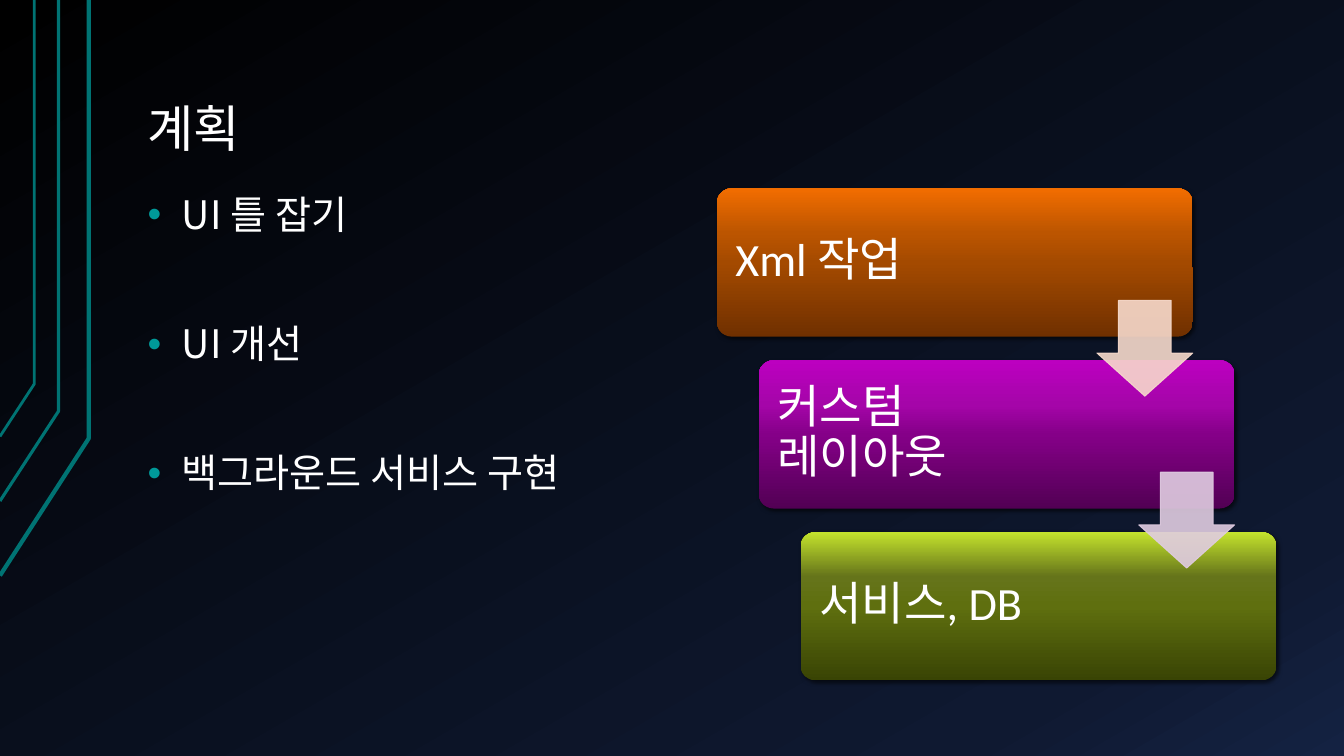
from dataclasses import dataclass

from lxml import etree
from pptx import Presentation
from pptx import util as u
from pptx.dml.color import RGBColor
from pptx.enum import shapes, text
from pptx.oxml import parse_xml
from pptx.oxml.ns import nsdecls, qn

Stops = tuple[tuple[int, str], ...]


@dataclass(frozen=True)
class Theme:
    """Colours, fonts and type sizes of the slide."""
    ink: str = "FFFFFF"
    rail: str = "007373"
    bullet: str = "009999"
    shadow: str = "000000"
    korean: str = "Noto Sans CJK KR"
    latin: str = "Calibri"
    title_size: int = 36
    list_size: int = 28
    step_size: int = 33
    backdrop: Stops = ((0, "000000"), (85, "0F1931"), (100, "142242"))


@dataclass(frozen=True)
class Rail:
    """A bent line along the left edge: its column, bend, end and weight."""
    x: float
    bend: float
    end: float
    weight: float


@dataclass(frozen=True)
class Step:
    """One box of the staircase and the colour of the arrow leaving it."""
    label: str
    stops: Stops
    arrow: str | None = None


THEME = Theme()
WIDTH, HEIGHT = 13.33, 7.5
LEFT, TOP = WIDTH * 0.1, 1.87
BOX_LEFT, BOX_WIDTH, BOX_HEIGHT = 7.11, 4.72, 1.47
STEP_X, STEP_Y = 0.415, 1.705
ARROW_SIZE, ARROW_DROP = 0.95, 1.11

RAILS = (
    Rail(0.88, 4.35, 5.71, 3),
    Rail(0.58, 4.08, 4.97, 2.25),
    Rail(0.34, 3.81, 4.33, 2),
)
PLANS = ("UI 틀 잡기", "UI 개선", "백그라운드 서비스 구현")
STEPS = (
    Step("Xml 작업", ((0, "703000"), (50, "A44A00"), (70, "BC5500"),
                    (100, "F26D00")), "F7DACC"),
    Step("커스텀 레이아웃", ((0, "520054"), (50, "850088"), (70, "A505A9"),
                      (100, "BC00C0")), "E0CCE1"),
    Step("서비스, DB", ((0, "394404"), (50, "5F6F0F"), (70, "65741A"),
                     (100, "C4E32D"))),
)


def rgb(code: str) -> RGBColor:
    """Turn a hex code into a colour."""
    return RGBColor.from_string(code)


def place(shape, left: float, top: float, width: float, height: float) -> None:
    """Set a shape's place and size in inches."""
    shape.left, shape.top = u.Inches(left), u.Inches(top)
    shape.width, shape.height = u.Inches(width), u.Inches(height)


def set_gradient(fill, owner, stops: Stops, angle: float) -> None:
    """Fill with any number of stops; the angle runs counter-clockwise."""
    fill.gradient()
    fill.gradient_angle = angle
    stop_list = owner.find(".//" + qn("a:gsLst"))
    for old in list(stop_list):
        stop_list.remove(old)
    for share, code in stops:
        stop = etree.SubElement(stop_list, qn("a:gs"), pos=str(share * 1000))
        etree.SubElement(stop, qn("a:srgbClr"), val=code)


def set_frame(frame, anchor, insets: tuple[float, float, float, float]) -> None:
    """Set wrapping, anchor and insets (left, top, right, bottom)."""
    frame.word_wrap, frame.auto_size = True, text.MSO_AUTO_SIZE.NONE
    frame.vertical_anchor = anchor
    (frame.margin_left, frame.margin_top,
     frame.margin_right, frame.margin_bottom) = map(u.Inches, insets)


def style(paragraph, size: int, latin: str) -> None:
    """Format a left-aligned white paragraph with a Korean companion font."""
    paragraph.alignment = text.PP_ALIGN.LEFT
    paragraph.line_spacing = 0.9
    font = paragraph.font
    font.size, font.name = u.Pt(size), latin
    font.color.rgb = rgb(THEME.ink)
    latin_tag = paragraph._p.find(".//" + qn("a:latin"))
    latin_tag.addnext(parse_xml(
        f'<a:ea {nsdecls("a")} typeface="{THEME.korean}"/>'))


def add_bullet(paragraph) -> None:
    """Give a paragraph a coloured bullet and a hanging indent."""
    properties = paragraph._p.get_or_add_pPr()
    properties.set("marL", str(u.Inches(0.34)))
    properties.set("indent", str(u.Inches(-0.34)))
    defaults = properties.find(qn("a:defRPr"))
    for tag in (f'<a:buClr {nsdecls("a")}><a:srgbClr val="{THEME.bullet}"/></a:buClr>',
                f'<a:buFont {nsdecls("a")} typeface="Arial"/>',
                f'<a:buChar {nsdecls("a")} char="•"/>'):
        defaults.addprevious(parse_xml(tag))


def draw_rail(slide, rail: Rail) -> None:
    """Draw one bent line from the left edge up to the top."""
    builder = slide.shapes.build_freeform(
        0, u.Inches(rail.end), scale=1.0)
    bend_x = u.Inches(rail.x)
    builder.add_line_segments(
        [(bend_x, u.Inches(rail.bend)), (bend_x, 0)], close=False)
    line = builder.convert_to_shape()
    line.shadow.inherit = False
    line.fill.background()
    line.line.color.rgb = rgb(THEME.rail)
    line.line.width = u.Pt(rail.weight)


def fill_title(title) -> None:
    """Write the heading."""
    place(title, LEFT, HEIGHT * 0.04, WIDTH * 0.85, 1.34)
    set_frame(title.text_frame, text.MSO_ANCHOR.BOTTOM, (0.13, 0.07, 0.13, 0.07))
    title.text_frame.text = "계획"
    style(title.text_frame.paragraphs[0], THEME.title_size, THEME.korean)


def fill_plans(body) -> None:
    """Write the bulleted list of plans."""
    place(body, LEFT, TOP, 5.55, HEIGHT * 0.65)
    set_frame(body.text_frame, text.MSO_ANCHOR.TOP, (0.13, 0.07, 0.13, 0.07))
    body.text_frame.text = "\n".join(PLANS)
    for row, paragraph in enumerate(body.text_frame.paragraphs):
        style(paragraph, THEME.list_size, THEME.korean)
        paragraph.space_before = u.Pt(62 if row else 16)
        add_bullet(paragraph)


def draw_box(slide, row: int, step: Step) -> None:
    """Draw one labelled box of the staircase."""
    box = slide.shapes.add_shape(
        shapes.MSO_SHAPE.ROUNDED_RECTANGLE, 0, 0, 0, 0)
    place(box, BOX_LEFT + row * STEP_X, TOP + row * STEP_Y, BOX_WIDTH, BOX_HEIGHT)
    box.adjustments[0] = 0.1
    set_gradient(box.fill, box._element, step.stops, 90)
    box.line.fill.background()
    box.shadow.inherit = False
    effects = box._element.spPr.find(qn("a:effectLst"))
    effects.append(parse_xml(
        f'<a:outerShdw {nsdecls("a")} blurRad="{u.Pt(3)}" dist="{u.Pt(2)}" '
        f'dir="2700000"><a:srgbClr val="{THEME.shadow}">'
        '<a:alpha val="60000"/></a:srgbClr></a:outerShdw>'))
    set_frame(box.text_frame, text.MSO_ANCHOR.MIDDLE, (0.14, 0.14, 1.55, 0.16))
    box.text_frame.text = step.label
    style(box.text_frame.paragraphs[0], THEME.step_size, THEME.latin)


def draw_arrow(slide, row: int, code: str) -> None:
    """Draw the translucent arrow from one box down to the next."""
    arrow = slide.shapes.add_shape(shapes.MSO_SHAPE.DOWN_ARROW, 0, 0, 0, 0)
    place(arrow, BOX_LEFT + BOX_WIDTH - ARROW_SIZE + row * STEP_X,
          TOP + ARROW_DROP + row * STEP_Y, ARROW_SIZE, ARROW_SIZE)
    arrow.adjustments[0], arrow.adjustments[1] = 0.55, 0.45
    arrow.shadow.inherit = False
    arrow.fill.solid()
    arrow.fill.fore_color.rgb = arrow.line.color.rgb = rgb(code)
    arrow.line.width = u.Pt(0.75)
    for colour in arrow._element.spPr.iter(qn("a:srgbClr")):
        etree.SubElement(colour, qn("a:alpha"), val="90000")


deck = Presentation()
deck.slide_width, deck.slide_height = u.Inches(WIDTH), u.Inches(HEIGHT)
slide = deck.slides.add_slide(deck.slide_layouts[1])
set_gradient(slide.background.fill, slide._element, THEME.backdrop, 300)
fill_title(slide.shapes.title)
fill_plans(slide.placeholders[1])
for rail in RAILS:
    draw_rail(slide, rail)
for row, step in enumerate(STEPS):
    draw_box(slide, row, step)
for row, step in enumerate(STEPS):
    if step.arrow:
        draw_arrow(slide, row, step.arrow)
deck.save("out.pptx")
